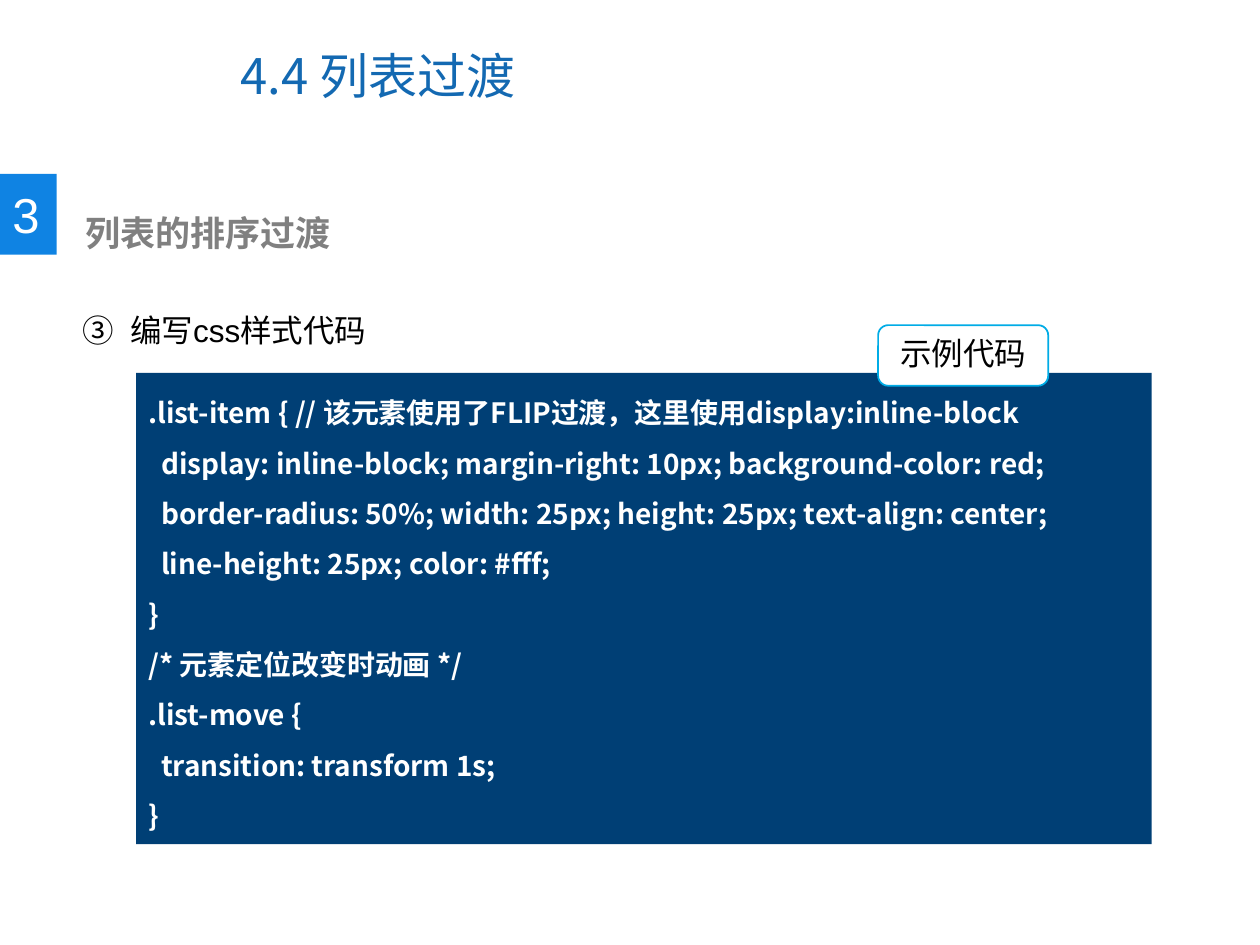
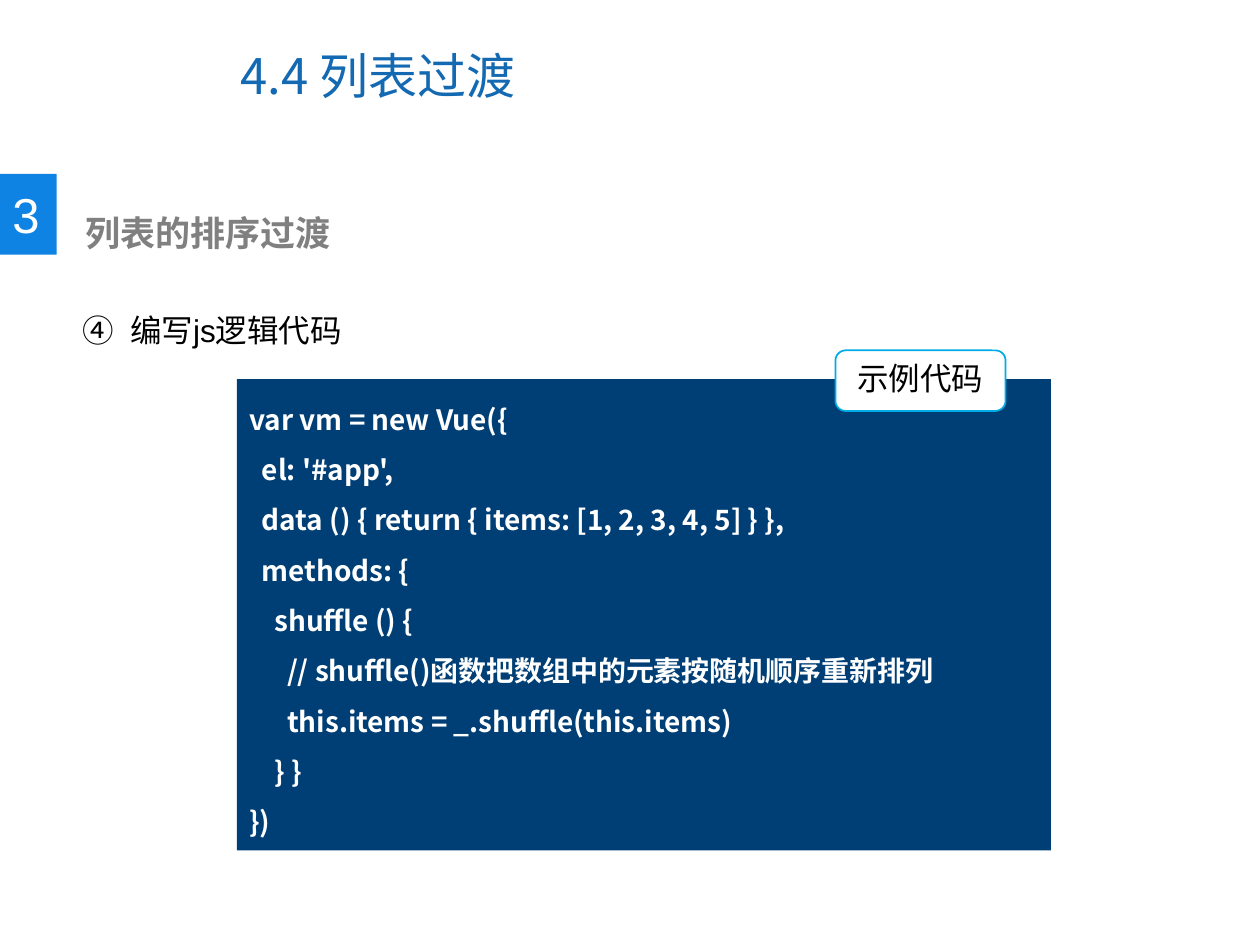
import dataclasses

import pptx
import pptx.dml.color
import pptx.enum.shapes
import pptx.enum.text
import pptx.oxml.ns
import pptx.util

Pt = pptx.util.Pt
Kind = pptx.enum.shapes.MSO_SHAPE
Align = pptx.enum.text.PP_ALIGN
Anchor = pptx.enum.text.MSO_ANCHOR


@dataclasses.dataclass(frozen=True)
class Theme:
    title: str = "1369B2"
    tab: str = "0F83E3"
    topic: str = "808080"
    panel: str = "003F75"
    edge: str = "00ACE6"
    white: str = "FFFFFF"
    black: str = "000000"
    latin: str = "Arial"
    asian: str = "Noto Sans CJK SC"
    big: int = 28
    head: int = 20
    body: int = 18
    code: int = 16
    space: float = 3.6  # width of one code indent space


theme = Theme()


def write(shape, text, size, color, font=theme.latin, bold=False,
          align=Align.LEFT, anchor=Anchor.TOP, gap=1, wrap=True, start=None):
    """Fill a shape, one paragraph a line; start gives a circled number."""
    frame = shape.text_frame
    frame.word_wrap = wrap
    frame.vertical_anchor = anchor
    for num, line in enumerate(text.split("\n")):
        para = frame.paragraphs[0] if num == 0 else frame.add_paragraph()
        para.alignment = align
        para.line_spacing = gap
        words = line.lstrip()
        props = para._p.get_or_add_pPr()
        props.set("marL", str(Pt(theme.space * (len(line) - len(words)))))
        if start:
            props.set("marL", str(Pt(27)))
            props.set("indent", str(Pt(-27)))
            mark = pptx.oxml.ns.qn("a:buAutoNum")
            bullet = props.makeelement(
                mark, {"type": "circleNumDbPlain", "startAt": str(start)})
            props.append(bullet)
        run = para.add_run()
        run.text = words
        run.font.size = Pt(size)
        run.font.bold = bold
        run.font.name = font
        run.font.color.rgb = pptx.dml.color.RGBColor.from_string(color)
        asian = run._r.get_or_add_rPr().makeelement(
            pptx.oxml.ns.qn("a:ea"), {"typeface": theme.asian})
        run.font._element.append(asian)


def block(slide, kind, box, fill, line=None):
    shape = slide.shapes.add_shape(kind, *map(Pt, box))
    shape.shadow.inherit = False
    shape.fill.solid()
    shape.fill.fore_color.rgb = pptx.dml.color.RGBColor.from_string(fill)
    if line:
        shape.line.color.rgb = pptx.dml.color.RGBColor.from_string(line)
        shape.line.width = Pt(1)
    else:
        shape.line.fill.background()
    return shape


css = """.list-item { // 该元素使用了FLIP过渡，这里使用display:inline-block
  display: inline-block; margin-right: 10px; background-color: red;
  border-radius: 50%; width: 25px; height: 25px; text-align: center;
  line-height: 25px; color: #fff;
}
/* 元素定位改变时动画 */
.list-move {
  transition: transform 1s;
}"""

script = """var vm = new Vue({
  el: '#app',
  data () { return { items: [1, 2, 3, 4, 5] } },
  methods: {
    shuffle () {
      // shuffle()函数把数组中的元素按随机顺序重新排列
      this.items = _.shuffle(this.items)
    } }
})"""

# step number, step text, code, panel box, label left and top
pages = [
    (3, "编写css样式代码", css, (77.8, 213.1, 580.3, 269.3), (501.8, 185.8)),
    (4, "编写js逻辑代码", script, (135.4, 216.7, 465.1, 269.3), (477.4, 200.2)),
]

deck = pptx.Presentation()
deck.slide_width, deck.slide_height = Pt(720), Pt(540)

for step, task, code, area, spot in pages:
    slide = deck.slides.add_slide(deck.slide_layouts[6])
    add = slide.shapes.add_textbox

    title = add(Pt(130.3), Pt(12.2), Pt(371.5), Pt(61.2))
    write(title, "4.4 列表过渡", theme.big, theme.title,
          font=theme.asian, anchor=Anchor.MIDDLE)

    block(slide, Kind.RECTANGLE, (0, 99.4, 32.4, 46.1), theme.tab)
    number = add(Pt(0), Pt(102.2), Pt(30.2), Pt(41))
    write(number, "3", theme.big, theme.white, wrap=False)

    topic = add(Pt(41.5), Pt(117.4), Pt(362), Pt(31.7))
    write(topic, "列表的排序过渡", theme.head, theme.topic, bold=True)

    item = add(Pt(40.3), Pt(152.6), Pt(635), Pt(43.9))
    write(item, task, theme.body, theme.black, gap=2, start=step)

    panel = block(slide, Kind.RECTANGLE, area, theme.panel)
    write(panel, code, theme.code, theme.white, font=theme.asian,
          bold=True, gap=1.5)

    label = block(slide, Kind.ROUNDED_RECTANGLE, (*spot, 97.2, 34.6),
                  theme.white, line=theme.edge)
    write(label, "示例代码", theme.body, theme.black, align=Align.CENTER)

deck.save("out.pptx")
